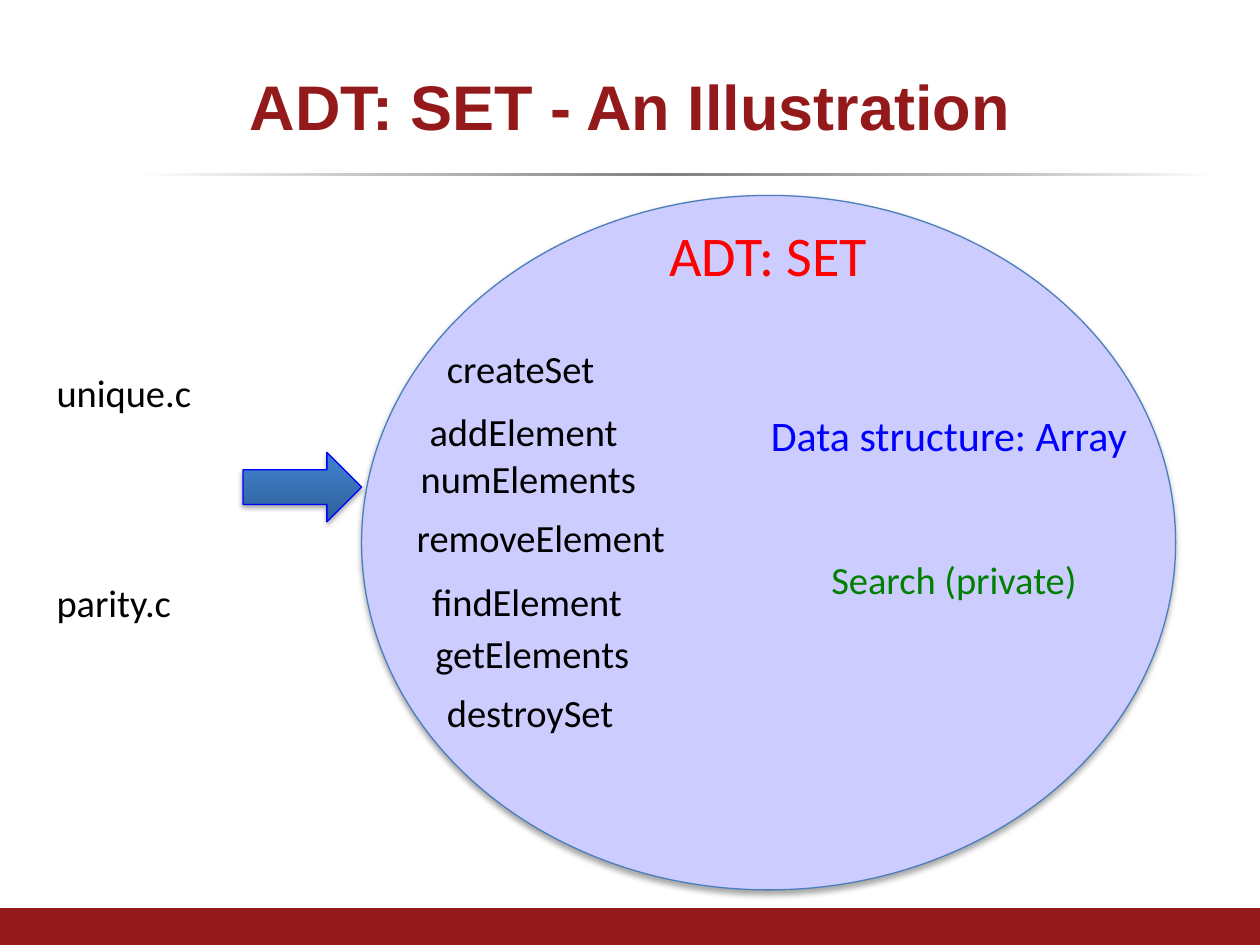
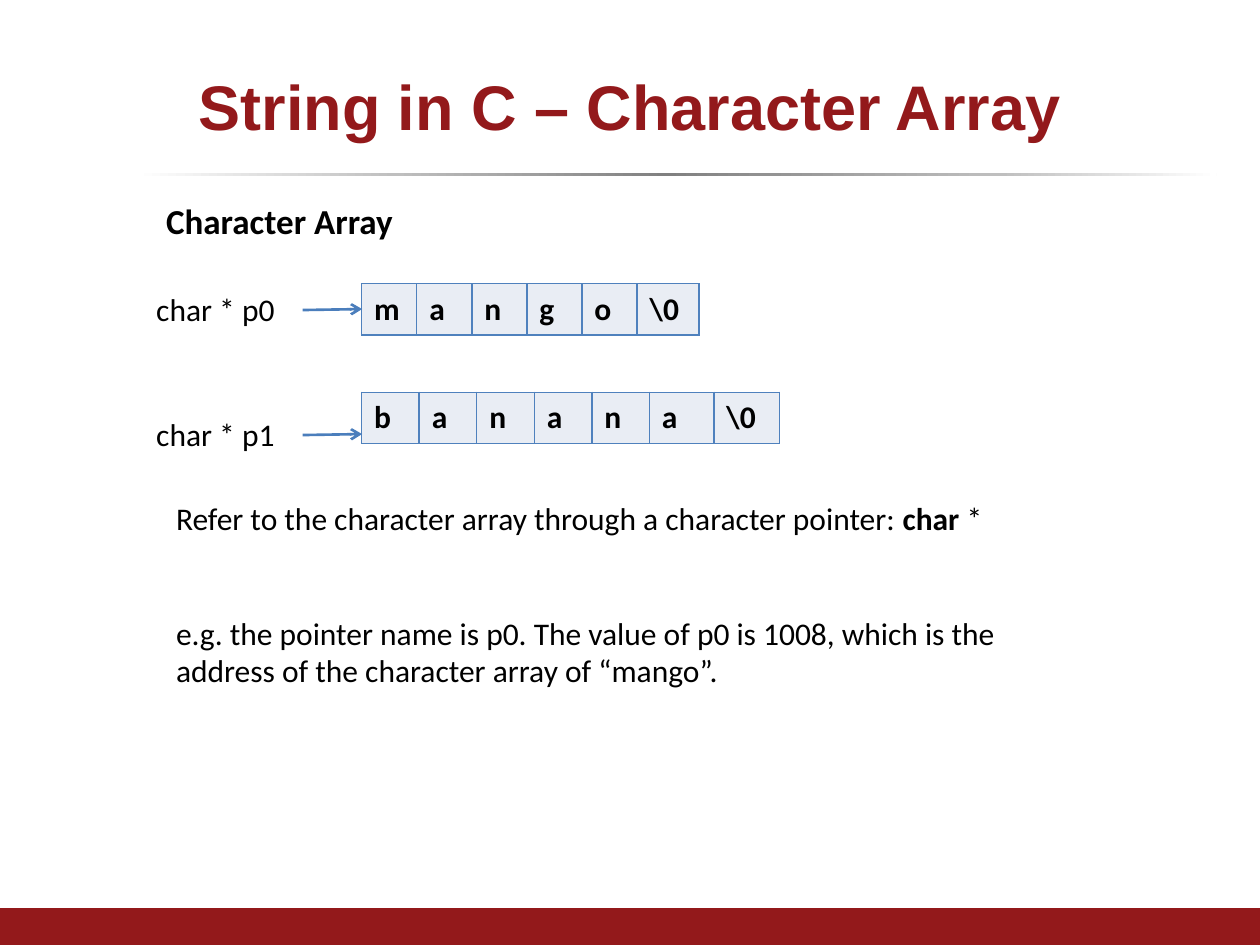
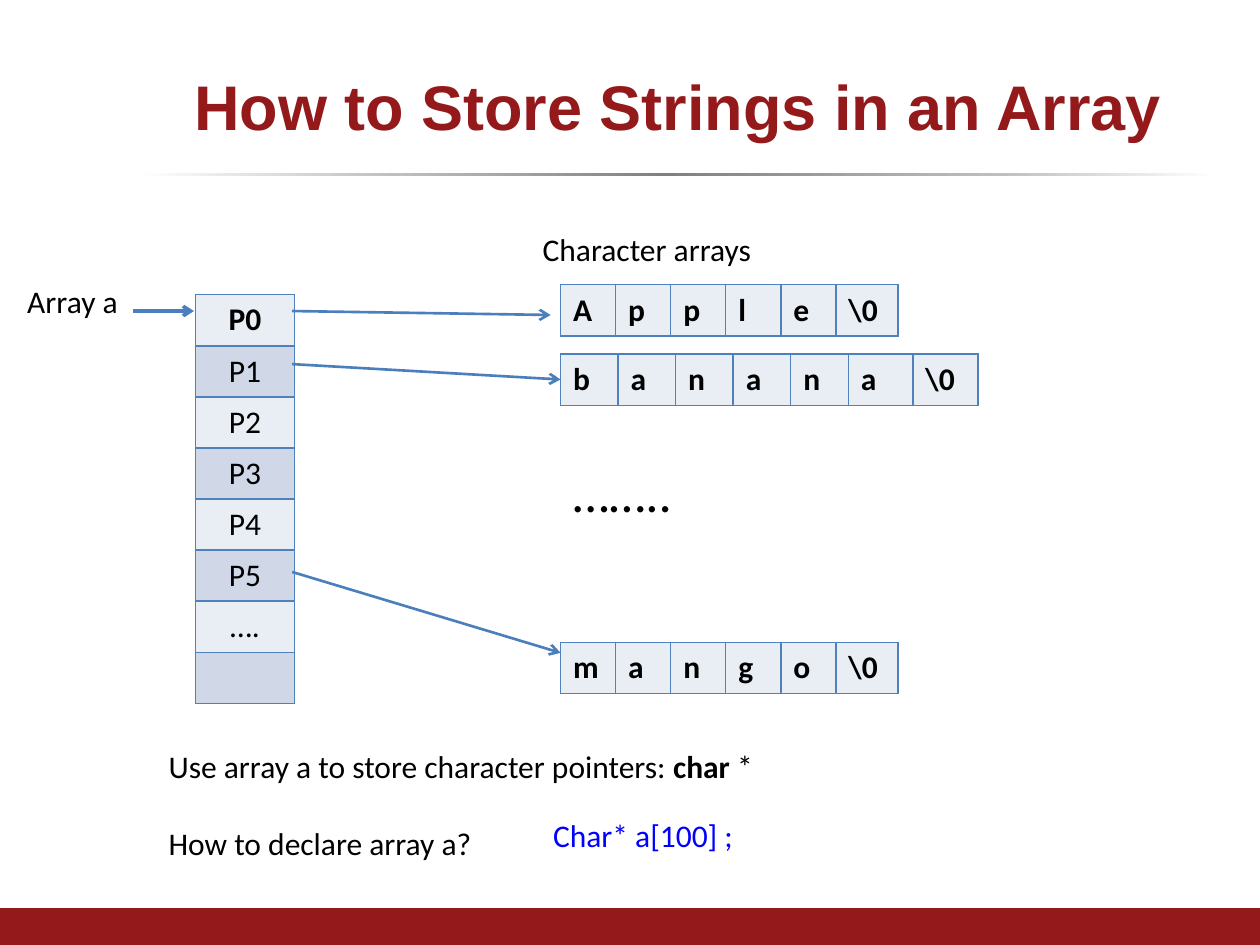
from lxml import etree
from pptx import Presentation
from pptx.dml.color import RGBColor
from pptx.enum.shapes import MSO_CONNECTOR, MSO_SHAPE
from pptx.enum.text import MSO_ANCHOR, PP_ALIGN
from pptx.oxml.ns import qn
from pptx.util import Cm, Pt

RECT, OVAL, ARROW = MSO_SHAPE.RECTANGLE, MSO_SHAPE.OVAL, MSO_SHAPE.RIGHT_ARROW
STRAIGHT = MSO_CONNECTOR.STRAIGHT
LEFT, CENTER = PP_ALIGN.LEFT, PP_ALIGN.CENTER
TOP, MIDDLE = MSO_ANCHOR.TOP, MSO_ANCHOR.MIDDLE

BLACK = RGBColor(0x00, 0x00, 0x00)
WHITE = RGBColor(0xFF, 0xFF, 0xFF)
MAROON = RGBColor(0x93, 0x19, 0x1B)
RED = RGBColor(0xFF, 0x00, 0x00)
GREEN = RGBColor(0x00, 0x80, 0x00)
BLUE = RGBColor(0x00, 0x00, 0xFF)
LAVENDER = RGBColor(0xCC, 0xCC, 0xFF)
STEEL = RGBColor(0x4B, 0x7E, 0xBC)
BORDER = RGBColor(0x4F, 0x81, 0xBD)
BAND_LIGHT = RGBColor(0xE9, 0xED, 0xF4)
BAND_DARK = RGBColor(0xD0, 0xD8, 0xE8)
SILVER = RGBColor(0xBF, 0xBF, 0xBF)
GRAY = RGBColor(0x80, 0x80, 0x80)

RULE_STOPS = [(0, WHITE), (24, SILVER), (49, GRAY), (80, SILVER), (100, WHITE)]
ARROW_STOPS = [(0, RGBColor(0x2F, 0x5F, 0x99)), (80, RGBColor(0x3D, 0x7C, 0xC7)),
               (100, RGBColor(0x3A, 0x7C, 0xCB))]

ROW_H = 1.03
TEXT_H = 1.02


def sub(parent, tag, **attrs):
    return etree.SubElement(parent, qn(tag), attrs)


def add_color(parent, color):
    return sub(parent, "a:srgbClr", val=str(color))


def format_text(tf, text, size=18, color=BLACK, bold=False, font="Calibri",
                align=LEFT, gap=0):
    paragraphs = [[(text, bold)]] if isinstance(text, str) else text
    for i, runs in enumerate(paragraphs):
        p = tf.add_paragraph() if i else tf.paragraphs[0]
        p.alignment = align
        if i:
            p.space_before = Pt(gap)
        for content, is_bold in runs:
            r = p.add_run()
            r.text = content
            r.font.name, r.font.size, r.font.bold = font, Pt(size), is_bold
            r.font.color.rgb = color


def add_text(slide, text, x, y, w, h=TEXT_H, anchor=TOP, **fmt):
    tf = slide.shapes.add_textbox(Cm(x), Cm(y), Cm(w), Cm(h)).text_frame
    tf.word_wrap = True
    tf.vertical_anchor = anchor
    format_text(tf, text, **fmt)


def add_shape(slide, kind, x, y, w, h, fill=None, stops=None, angle=0, line=None):
    sp = slide.shapes.add_shape(kind, Cm(x), Cm(y), Cm(w), Cm(h))
    sp.shadow.inherit = False
    if stops:
        sp.fill.gradient()
        sp.fill.gradient_angle = angle
        stop_list = sp._element.spPr.find(".//" + qn("a:gsLst"))
        for old in list(stop_list):
            stop_list.remove(old)
        for pos, color in stops:
            add_color(sub(stop_list, "a:gs", pos=str(pos * 1000)), color)
    else:
        sp.fill.solid()
        sp.fill.fore_color.rgb = fill
    if line is None:
        sp.line.fill.background()
    else:
        sp.line.color.rgb = line
        sp.line.width = Pt(0.75)
    return sp


def add_shadow(sp):
    effects = sp._element.spPr.find(qn("a:effectLst"))
    shadow = sub(effects, "a:outerShdw", blurRad=str(Pt(3.1)), dist=str(Pt(1.8)),
                 dir="5400000", rotWithShape="0")
    sub(add_color(shadow, BLACK), "a:alpha", val="35000")


def add_arrow(slide, x1, y1, x2, y2, width=1.5):
    cxn = slide.shapes.add_connector(STRAIGHT, Cm(x1), Cm(y1), Cm(x2), Cm(y2))
    cxn.line.color.rgb = STEEL
    cxn.line.width = Pt(width)
    sub(cxn.line._get_or_add_ln(), "a:tailEnd", type="arrow")
    sub(cxn._element.spPr, "a:effectLst")


def border_cell(cell):
    tc_pr = cell._tc.get_or_add_tcPr()
    for i, side in enumerate(("a:lnL", "a:lnR", "a:lnT", "a:lnB")):
        ln = etree.Element(qn(side), w=str(Pt(1)))
        add_color(sub(ln, "a:solidFill"), BORDER)
        tc_pr.insert(i, ln)


def add_grid(slide, rows, x, y, widths, bold_rows=1, align=LEFT):
    table = slide.shapes.add_table(len(rows), len(widths), Cm(x), Cm(y),
                                   Cm(sum(widths)), Cm(ROW_H * len(rows))).table
    table.first_row = table.horz_banding = False
    for col, width in zip(table.columns, widths):
        col.width = Cm(width)
    for i, row in enumerate(rows):
        table.rows[i].height = Cm(ROW_H)
        for j, text in enumerate(row):
            cell = table.cell(i, j)
            cell.fill.solid()
            cell.fill.fore_color.rgb = BAND_DARK if i % 2 else BAND_LIGHT
            border_cell(cell)
            if text:
                format_text(cell.text_frame, text, bold=i < bold_rows, align=align)


def add_char_array(slide, word, x, y):
    if len(word) == 5:
        widths = [1.11] * 5 + [1.25]
    else:
        widths = [1.16] * 5 + [1.3, 1.32]
    add_grid(slide, [[*word, "\\0"]], x, y, widths)


def add_frame(prs, title, x=1.27):
    slide = prs.slides.add_slide(prs.slide_layouts[6])
    add_shape(slide, RECT, 2.74, 3.48, 21.79, 0.08, stops=RULE_STOPS)
    add_shape(slide, RECT, 0, 18.31, 25.4, 0.74, fill=MAROON)
    add_text(slide, title, x, 0.76, 22.86, 2.72, anchor=MIDDLE, size=36,
             color=MAROON, bold=True, font="Arial", align=CENTER)
    return slide


def add_set_type(slide, x, y, w, h):
    add_shadow(add_shape(slide, OVAL, x, y, w, h, fill=LAVENDER, line=STEEL))
    add_text(slide, "ADT: SET", x + 5, y + 0.38, 6.4, 1.62, size=32, color=RED,
             align=CENTER)
    operations = [("createSet", 1.47, 2.9), ("addElement", 1.12, 4.17),
                  ("numElements", 0.94, 5.11), ("removeElement", 0.86, 6.3),
                  ("findElement", 1.17, 7.59), ("getElements", 1.24, 8.64),
                  ("destroySet", 1.47, 9.83)]
    for name, dx, dy in operations:
        add_text(slide, name, x + dx, y + dy, 6.2, 1.2, size=22)
    add_text(slide, "Data structure: Array", x + 8, y + 4.19, 7.8, 1.27, size=24,
             color=BLUE)
    add_text(slide, "Search (private)", x + 9.22, y + 7.14, 6, 1.2, size=22,
             color=GREEN)


def add_clients(slide, x, y):
    add_text(slide, "unique.c", x, y, 4.8, 1.2, size=22)
    add_text(slide, "parity.c", x, y + 4.22, 4.8, 1.2, size=22)
    add_shadow(add_shape(slide, ARROW, x + 4.01, y + 1.8, 2.39, 1.4,
                         stops=ARROW_STOPS, angle=90, line=BLUE))


def add_pointer(slide, name, x, y):
    add_text(slide, name, x, y, 3.2)
    add_arrow(slide, x + 3.2, y + 0.53, x + 4.4, y + 0.51)


def add_named_arrays(slide, x, y):
    add_text(slide, "Character Array", x + 0.2, y, 9.2, 1.12, size=20, bold=True)
    add_char_array(slide, "mango", x + 4.39, y + 1.83)
    add_char_array(slide, "banana", x + 4.39, y + 4.02)
    add_pointer(slide, "char * p0", x, y + 1.83)
    add_pointer(slide, "char * p1", x, y + 4.35)


def add_pointer_array(slide, x, y):
    names = ["P0", "P1", "P2", "P3", "P4", "P5", "….", ""]
    add_grid(slide, [[name] for name in names], x, y, [2], align=CENTER)
    add_text(slide, "Array a", x - 3.64, y - 0.38, 4.2)
    add_arrow(slide, x - 1.25, y + 0.33, x - 0.03, y + 0.33, width=2)


def add_stored_strings(slide, x, y):
    add_text(slide, "Character arrays", x - 0.61, y, 4.8)
    for word, dy in (("Apple", 1.22), ("banana", 2.62), ("mango", 8.43)):
        add_char_array(slide, word, x, y + dy)
    add_text(slide, "……..", x, y + 4.62, 5.2, 1.55, size=30)
    for start, dx, end in ((1.75, -0.2, 1.83), (2.82, 0, 3.13), (7.01, 0, 8.64)):
        add_arrow(slide, x - 5.41, y + start, x + dx, y + end)


def add_notes(slide, first, second, x, y, h, gap):
    add_text(slide, [[(first, False), ("char ", True), ("*", False)],
                     [(second, False)]], x, y, 18.21, h, gap=gap)


def main():
    prs = Presentation()
    prs.slide_width, prs.slide_height = Cm(25.4), Cm(19.05)

    slide = add_frame(prs, "ADT: SET - An Illustration")
    add_set_type(slide, 7.29, 3.94, 16.41, 14)
    add_clients(slide, 0.89, 7.32)

    slide = add_frame(prs, "String in C – Character Array")
    add_named_arrays(slide, 2.9, 3.89)
    add_notes(slide, "Refer to the character array through a character pointer: ",
              "e.g. the pointer name is p0. The value of p0 is 1008, which is the "
              "address of the character array of “mango”.", 3.3, 9.93, 4.11, 44)

    slide = add_frame(prs, "How to Store Strings in an Array", x=2.24)
    add_pointer_array(slide, 3.94, 5.94)
    add_stored_strings(slide, 11.3, 4.52)
    add_notes(slide, "Use array a to store character pointers: ",
              "How to declare array a?", 3.15, 14.94, 2.57, 22)
    add_text(slide, "Char* a[100] ;", 10.9, 16.33, 6.4, color=BLUE)

    prs.save("out.pptx")


if __name__ == "__main__":
    main()
